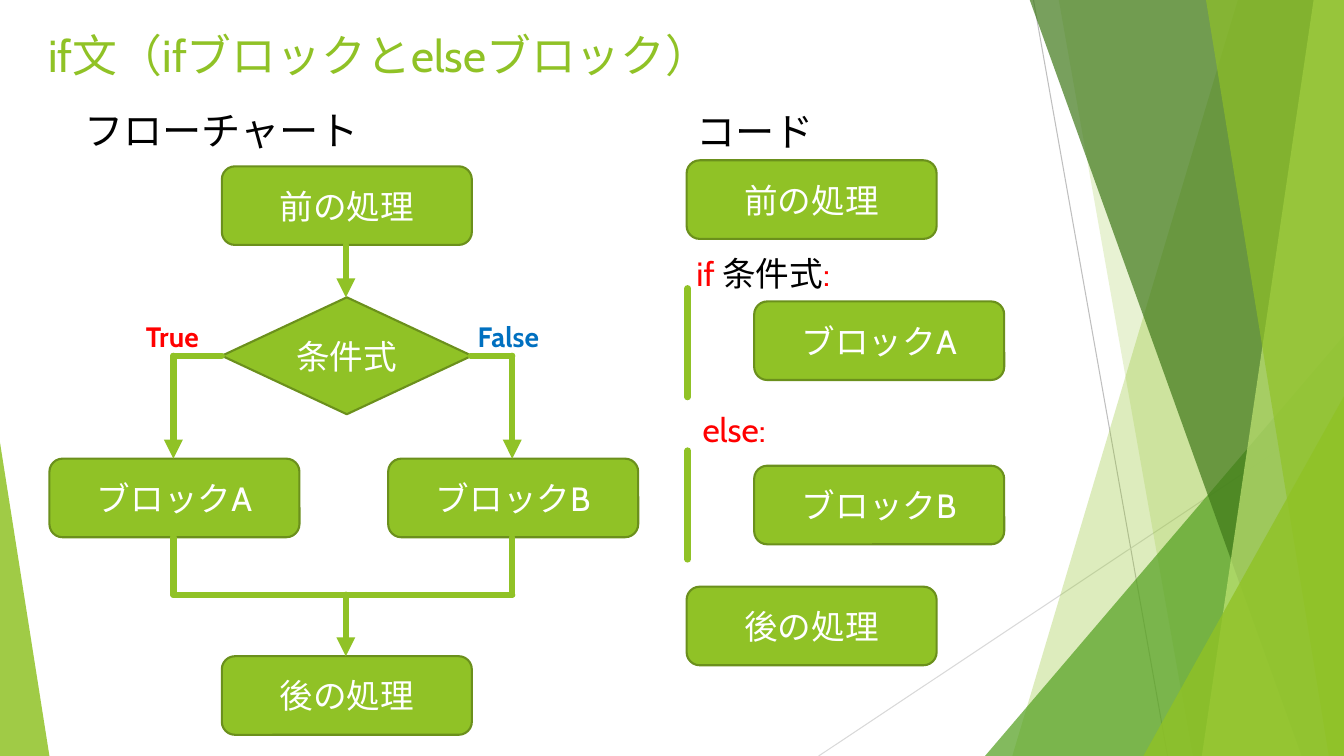
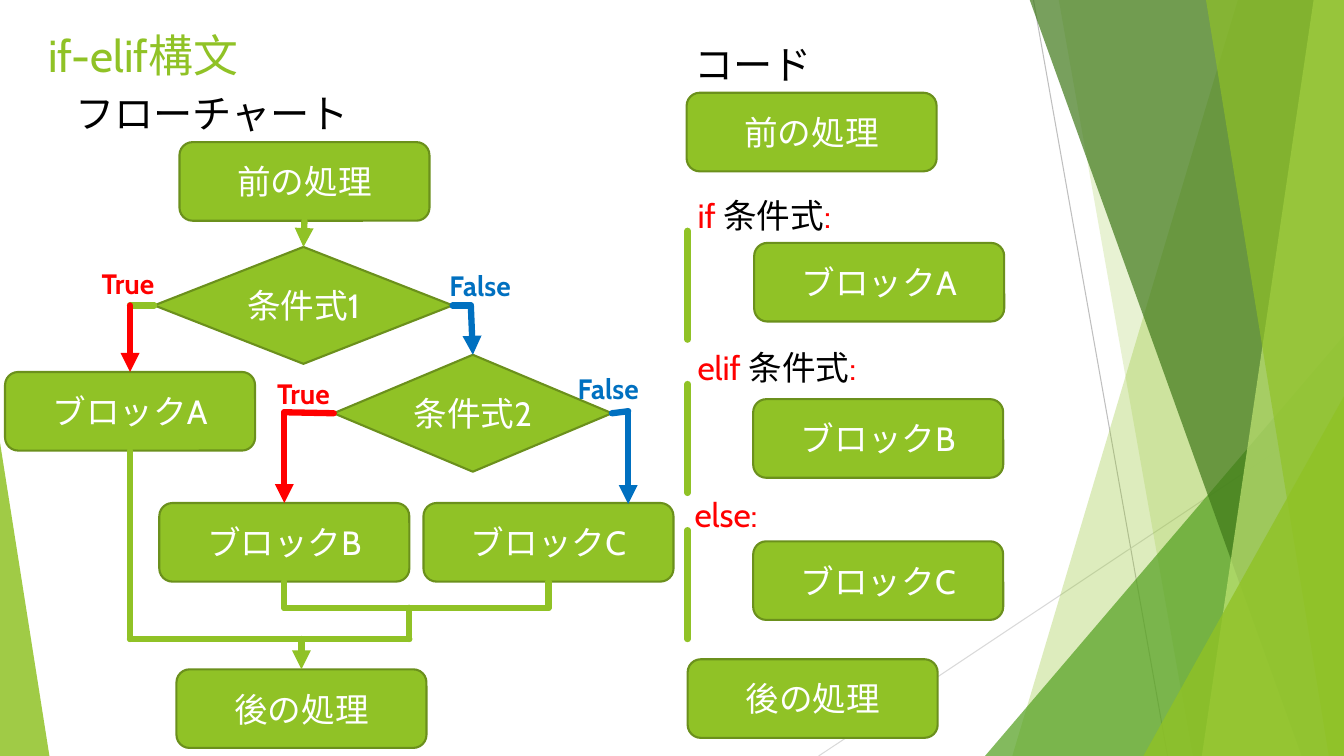
from pptx import Presentation
from pptx import util as u
from pptx.dml.color import RGBColor
from pptx.enum import shapes, text
from pptx.oxml import parse_xml
from pptx.oxml.ns import nsdecls

FONT = "Cabin"
GREEN = RGBColor(0x90, 0xC2, 0x26)
OUTLINE = RGBColor(0x6B, 0x90, 0x1C)
MID_GREEN = RGBColor(0x54, 0xA0, 0x21)
DARK_GREEN = RGBColor(0x3F, 0x78, 0x19)
PALE_GREEN = RGBColor(0xC0, 0xE4, 0x74)
GRAY = RGBColor(0xBF, 0xBF, 0xBF)
LIGHT_GRAY = RGBColor(0xD9, 0xD9, 0xD9)
RED = RGBColor(0xFF, 0x00, 0x00)
BLUE = RGBColor(0x00, 0x70, 0xC0)
BLACK = RGBColor(0, 0, 0)
WHITE = RGBColor(0xFF, 0xFF, 0xFF)

SLIDE_W, SLIDE_H = 13.33, 7.5
BOX_W, BOX_H = 2.48, 0.78
BAR_X, BAR_H = 6.82, 1.08
BEFORE, AFTER = "前の処理", "後の処理"
BLOCK_A, BLOCK_B, BLOCK_C = "ブロックA", "ブロックB", "ブロックC"
CONDITION = "条件式"


def write(sp, runs, size=24, color=BLACK, bold=False, align=text.PP_ALIGN.LEFT,
          anchor=text.MSO_ANCHOR.TOP):
    if isinstance(runs, str):
        runs = [(runs, color)]
    tf = sp.text_frame
    tf.word_wrap = True
    tf.auto_size = text.MSO_AUTO_SIZE.NONE
    tf.vertical_anchor = anchor
    p = tf.paragraphs[0]
    p.alignment = align
    for content, run_color in runs:
        r = p.add_run()
        r.text = content
        r.font.name = FONT
        r.font.size = u.Pt(size)
        r.font.bold = bold
        r.font.color.rgb = run_color


def place(sp, x, y, w, h):
    sp.left, sp.top, sp.width, sp.height = map(u.Inches, (x, y, w, h))


def text_box(s, x, y, w, h, runs, **fmt):
    write(s.shapes.add_textbox(*map(u.Inches, (x, y, w, h))), runs, **fmt)


def node(s, kind, x, y, w, h, label):
    sp = s.shapes.add_shape(kind, *map(u.Inches, (x, y, w, h)))
    sp.shadow.inherit = False
    sp.fill.solid()
    sp.fill.fore_color.rgb = GREEN
    sp.line.color.rgb = OUTLINE
    sp.line.width = u.Pt(1.5)
    write(sp, label, color=WHITE, align=text.PP_ALIGN.CENTER,
          anchor=text.MSO_ANCHOR.MIDDLE)


def box(s, x, y, label):
    node(s, shapes.MSO_SHAPE.ROUNDED_RECTANGLE, x, y, BOX_W, BOX_H, label)


def diamond(s, x, y, w, label):
    node(s, shapes.MSO_SHAPE.DIAMOND, x, y, w, 1.16, label)


def line(s, start, end, color=GREEN, width=4.5, arrow=False):
    cx = s.shapes.add_connector(shapes.MSO_CONNECTOR.STRAIGHT,
                                *map(u.Inches, (*start, *end)))
    cx.line.color.rgb = color
    cx.line.width = u.Pt(width)
    ln = cx.line._get_or_add_ln()
    ln.set("cap", "rnd")
    if arrow:
        ln.append(parse_xml(f'<a:tailEnd {nsdecls("a")} type="triangle"/>'))
    cx.element.spPr.append(parse_xml(f'<a:effectLst {nsdecls("a")}/>'))
    return cx


def route(s, *points, color=GREEN, arrow=False):
    last = len(points) - 2
    for i, (start, end) in enumerate(zip(points, points[1:])):
        line(s, start, end, color, arrow=arrow and i == last)


def tint(sp, color, opacity):
    sp.shadow.inherit = False
    sp.fill.solid()
    sp.fill.fore_color.rgb = color
    sp.line.fill.background()
    for clr in sp.element.spPr.xpath("./a:solidFill/a:srgbClr"):
        clr.append(parse_xml(f'<a:alpha {nsdecls("a")} val="{opacity * 1000}"/>'))
    return sp


def band(s, top_x, bottom_x, color, opacity):
    corners = [(top_x, -0.01), (SLIDE_W, -0.01), (SLIDE_W, SLIDE_H), (bottom_x, SLIDE_H)]
    points = [(u.Inches(x), u.Inches(y)) for x, y in corners]
    fb = s.shapes.build_freeform(*points[0])
    fb.add_line_segments(points[1:], close=True)
    return tint(fb.convert_to_shape(), color, opacity)


def corner(s, x, y, w, apex, color, opacity):
    sp = s.shapes.add_shape(shapes.MSO_SHAPE.ISOSCELES_TRIANGLE,
                            *map(u.Inches, (x, y, w, SLIDE_H - y)))
    sp.adjustments[0] = apex
    return tint(sp, color, opacity)


def decorate_layout(layout, s):
    for ph in list(layout.placeholders):
        if ph.placeholder_format.type != shapes.PP_PLACEHOLDER.TITLE:
            ph.element.getparent().remove(ph.element)
    decor = [
        line(s, (10.25, 0), (11.58, SLIDE_H), GRAY, 0.75),
        line(s, (SLIDE_W, 4.03), (8.12, SLIDE_H), LIGHT_GRAY, 0.75),
        band(s, 12.28, 10.04, GREEN, 30),
        band(s, 10.5, 11.83, GREEN, 20),
        corner(s, 9.77, 3.33, 3.56, 1, MID_GREEN, 72),
        band(s, 10.21, 12.91, DARK_GREEN, 70),
        band(s, 13.03, 11.92, PALE_GREEN, 70),
        band(s, 11.96, 13.18, GREEN, 65),
        corner(s, 11.34, 3.93, 1.99, 1, GREEN, 80),
        corner(s, 0, 4.39, 0.49, 0, GREEN, 85),
    ]
    for sp in decor:
        layout.shapes.element.append(sp.element)


def set_title(s, title):
    place(s.shapes.title, 0.38, 0.22, 9.4, 0.78)
    write(s.shapes.title, title, size=32, color=GREEN)


def heading(s, x, y, label):
    text_box(s, x, y, 3.8, 0.57, label, size=28)


def answer(s, x, y, value):
    text_box(s, x, y, 1.63, 0.44, str(value), size=20, bold=True,
             color=RED if value else BLUE)


def branch(s, x, y, keyword, bar_y, box_x, box_y, label):
    if keyword == "else":
        runs = [("else:", RED)]
    else:
        runs = [(keyword + " ", RED), (CONDITION, BLACK), (":", RED)]
    text_box(s, x, y, 3.83, 0.5, runs)
    line(s, (BAR_X, bar_y), (BAR_X, bar_y + BAR_H))
    box(s, box_x, box_y, label)


def if_else_slide(s):
    set_title(s, "if文（ifブロックとelseブロック）")
    heading(s, 0.74, 1.01, "フローチャート")
    box(s, 2.2, 1.65, BEFORE)
    diamond(s, 2.2, 2.95, BOX_W, CONDITION)
    box(s, 0.49, 4.55, BLOCK_A)
    box(s, 3.85, 4.55, BLOCK_B)
    box(s, 2.2, 6.51, AFTER)
    route(s, (3.43, 2.43), (3.43, 2.95), arrow=True)
    route(s, (2.2, 3.53), (1.72, 3.53), (1.72, 4.55), arrow=True)
    route(s, (4.67, 3.53), (5.08, 3.53), (5.08, 4.55), arrow=True)
    route(s, (1.72, 5.33), (1.72, 5.9), (5.08, 5.9), (5.08, 5.33))
    route(s, (3.43, 5.9), (3.43, 6.51), arrow=True)
    answer(s, 1.35, 3.12, True)
    answer(s, 4.64, 3.12, False)

    heading(s, 6.81, 1.02, "コード")
    box(s, 6.81, 1.59, BEFORE)
    branch(s, 6.81, 2.46, "if", 2.86, 7.48, 2.99, BLOCK_A)
    branch(s, 6.87, 4.01, "else", 4.47, 7.48, 4.62, BLOCK_B)
    box(s, 6.81, 5.82, AFTER)


def elif_slide(s):
    set_title(s, "if-elif構文")
    heading(s, 0.65, 0.84, "フローチャート")
    box(s, 1.78, 1.41, BEFORE)
    diamond(s, 1.53, 2.45, 2.96, CONDITION + "1")
    diamond(s, 3.31, 3.52, 2.76, CONDITION + "2")
    box(s, 0.05, 3.69, BLOCK_A)
    box(s, 1.58, 4.99, BLOCK_B)
    box(s, 4.2, 4.99, BLOCK_C)
    box(s, 1.75, 6.64, AFTER)
    route(s, (3.02, 2.19), (3.01, 2.45), arrow=True)
    route(s, (1.53, 3.03), (1.29, 3.03))
    route(s, (1.29, 3.03), (1.29, 3.69), color=RED, arrow=True)
    route(s, (4.49, 3.03), (4.67, 3.03), (4.69, 3.52), color=BLUE, arrow=True)
    route(s, (3.31, 4.1), (2.82, 4.09), (2.82, 4.99), color=RED, arrow=True)
    route(s, (6.07, 4.1), (6.23, 4.08), (6.23, 5), color=BLUE, arrow=True)
    route(s, (2.82, 5.77), (2.82, 6.03), (5.44, 6.03), (5.44, 5.77))
    route(s, (4.06, 6.03), (4.06, 6.34), (1.29, 6.34), (1.29, 4.47))
    route(s, (2.99, 6.34), (2.99, 6.64), arrow=True)
    answer(s, 0.91, 2.59, True)
    answer(s, 4.36, 2.61, False)
    answer(s, 2.65, 3.69, True)
    answer(s, 5.63, 3.64, False)

    heading(s, 6.79, 0.35, "コード")
    box(s, 6.81, 0.92, BEFORE)
    branch(s, 6.82, 1.88, "if", 2.29, 7.48, 2.41, BLOCK_A)
    branch(s, 6.82, 3.39, "elif", 3.81, 7.47, 3.96, BLOCK_B)
    branch(s, 6.79, 4.85, "else", 5.26, 7.47, 5.37, BLOCK_C)
    box(s, 6.82, 6.54, AFTER)


def main():
    prs = Presentation()
    prs.slide_width, prs.slide_height = u.Inches(SLIDE_W), u.Inches(SLIDE_H)
    layout = prs.slide_layouts[5]
    if_else, elif_ = [prs.slides.add_slide(layout) for _ in range(2)]
    decorate_layout(layout, if_else)
    if_else_slide(if_else)
    elif_slide(elif_)
    prs.save("out.pptx")


if __name__ == "__main__":
    main()
